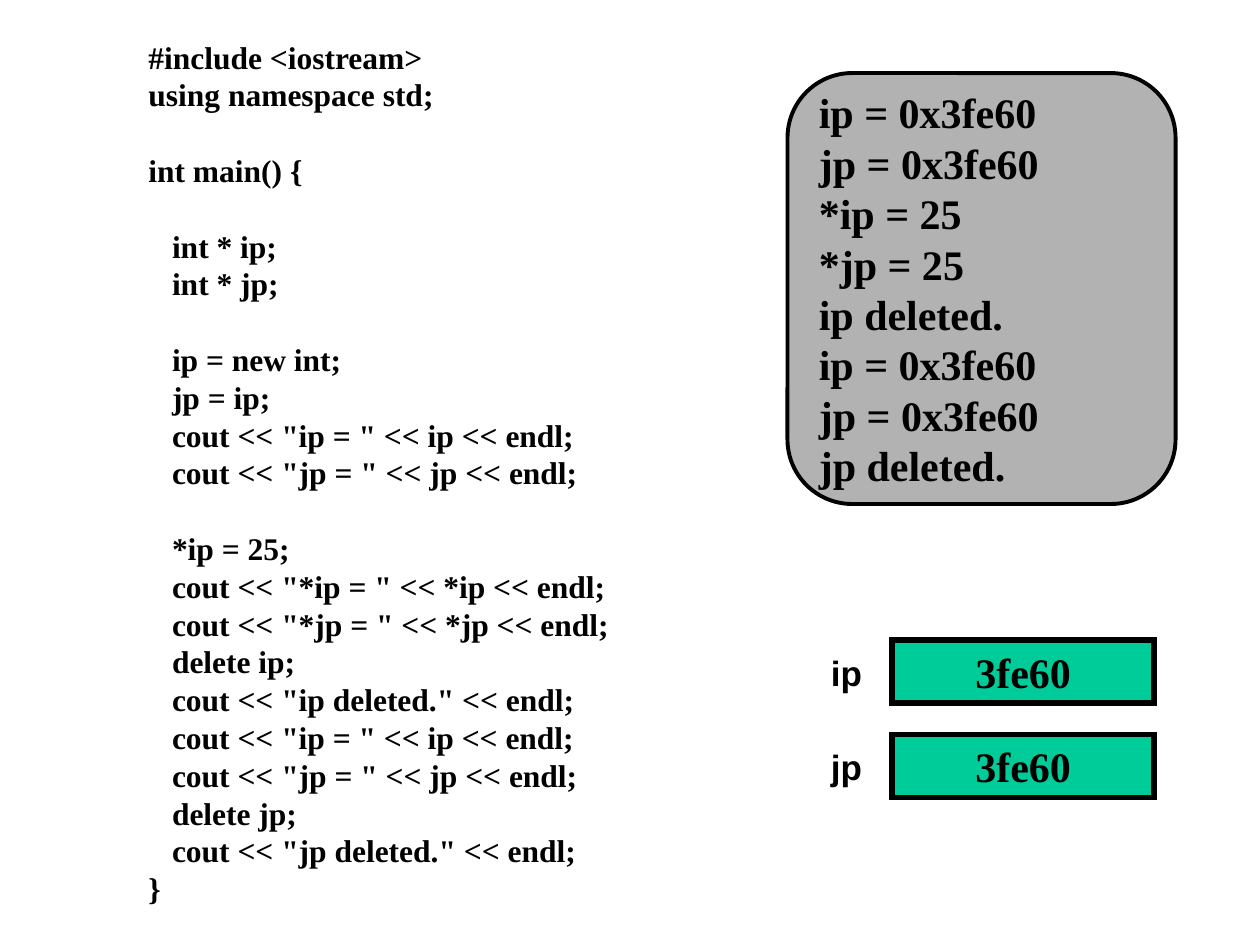
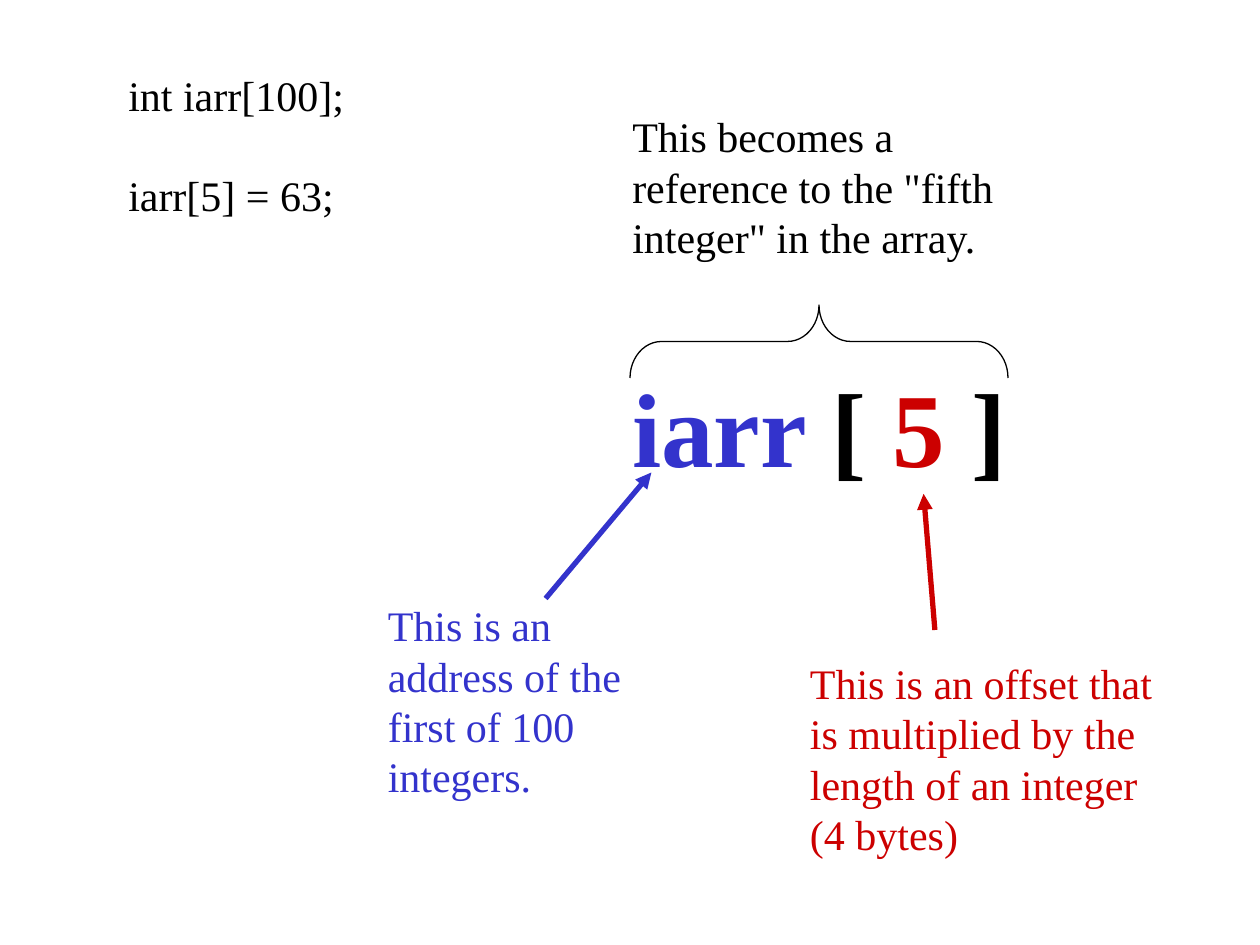
from lxml import etree
from pptx import Presentation
from pptx.dml.color import RGBColor
from pptx.enum.shapes import MSO_CONNECTOR, MSO_SHAPE
from pptx.enum.text import MSO_ANCHOR, MSO_AUTO_SIZE, PP_ALIGN
from pptx.oxml.ns import qn
from pptx.util import Inches, Pt

COLORS = {
    "ink": "000000",
    "panel": "B2B2B2",
    "memory": "00CC99",
    "address": "3333CC",
    "offset": "CC0000",
}
SERIF, SANS = "Times New Roman", "Arial"
LINE_RATIO = 1.2

PROGRAM = """#include <iostream>
using namespace std;

int main() {

   int * ip;
   int * jp;

   ip = new int;
   jp = ip;
   cout << "ip = " << ip << endl;
   cout << "jp = " << jp << endl;

   *ip = 25;
   cout << "*ip = " << *ip << endl;
   cout << "*jp = " << *jp << endl;
   delete ip;
   cout << "ip deleted." << endl;
   cout << "ip = " << ip << endl;
   cout << "jp = " << jp << endl;
   delete jp;
   cout << "jp deleted." << endl;
}"""

OUTPUT = """ip = 0x3fe60
jp = 0x3fe60
*ip = 25
*jp = 25
ip deleted.
ip = 0x3fe60
jp = 0x3fe60
jp deleted."""

ARRAY_CODE = """int iarr[100];

iarr[5] = 63;"""


def rgb(color):
    return RGBColor.from_string(COLORS[color])


def inches(box):
    return [Inches(length) for length in box]


def write(frame, text, size=24, font=SERIF, color="ink", bold=False,
          align=PP_ALIGN.LEFT):
    frame.word_wrap = True
    lines = text.split("\n") if isinstance(text, str) else [text]
    paragraph, gap = None, 0
    for line in lines:
        if not line:
            gap += size * LINE_RATIO
            continue
        paragraph = frame.add_paragraph() if paragraph else frame.paragraphs[0]
        paragraph.alignment = align
        paragraph.line_spacing = Pt(size * LINE_RATIO)
        if gap:
            paragraph.space_before = Pt(gap)
            gap = 0
        pieces = [(line, color)] if isinstance(line, str) else line
        for words, tint in pieces:
            run = paragraph.add_run()
            run.text = words
            run.font.size = Pt(size)
            run.font.name = font
            run.font.bold = bold
            run.font.color.rgb = rgb(tint)


def add_text(slide, box, text, **style):
    frame = slide.shapes.add_textbox(*inches(box)).text_frame
    write(frame, text, **style)
    frame.auto_size = MSO_AUTO_SIZE.SHAPE_TO_FIT_TEXT


def add_panel(slide, preset, box, fill, border, text, **style):
    panel = slide.shapes.add_shape(preset, *inches(box))
    panel.shadow.inherit = False
    panel.fill.solid()
    panel.fill.fore_color.rgb = rgb(fill)
    panel.line.color.rgb = rgb("ink")
    panel.line.width = Pt(border)
    etree.SubElement(panel.line._get_or_add_ln(), qn("a:miter"), lim="800000")
    panel.text_frame.vertical_anchor = MSO_ANCHOR.MIDDLE
    write(panel.text_frame, text, bold=True, **style)


def add_pointer(slide, name, value, top):
    add_panel(slide, MSO_SHAPE.RECTANGLE, (7.08, top, 2.08, 0.5), "memory", 3,
              value, align=PP_ALIGN.CENTER)
    add_text(slide, (6.24, top + 0.04, 0.7, 0.44), name, size=20, font=SANS,
             bold=True, align=PP_ALIGN.RIGHT)


def add_arrow(slide, start, end, color):
    arrow = slide.shapes.add_connector(MSO_CONNECTOR.STRAIGHT, *inches(start + end))
    arrow.line.color.rgb = rgb(color)
    arrow.line.width = Pt(3)
    etree.SubElement(arrow.line._get_or_add_ln(), qn("a:tailEnd"), type="triangle")
    etree.SubElement(arrow._element.spPr, qn("a:effectLst"))


def add_brace(slide, box):
    brace = slide.shapes.add_shape(MSO_SHAPE.LEFT_BRACE, *inches(box))
    brace.shadow.inherit = False
    brace.rotation = 90
    brace.adjustments[0] = 0.43
    brace.fill.background()
    brace.line.color.rgb = rgb("ink")
    brace.line.width = Pt(0.75)


def build_pointer_slide(slide):
    add_panel(slide, MSO_SHAPE.ROUNDED_RECTANGLE, (6.25, 0.58, 3.08, 3.42),
              "panel", 2.25, OUTPUT)
    for row, name in enumerate(("ip", "jp")):
        add_pointer(slide, name, "3fe60", 5.08 + 0.75 * row)
    add_text(slide, (1.08, 0.25, 4.2, 7), PROGRAM, size=18, bold=True)


def build_array_slide(slide):
    add_text(slide, (0.92, 0.5, 2.1, 1.3), ARRAY_CODE)
    expression = [("iarr ", "address"), ("[ ", "ink"), ("5", "offset"), (" ]", "ink")]
    add_text(slide, (4.92, 2.83, 3.4, 1.1), expression, size=60, bold=True)
    add_text(slide, (2.98, 4.71, 2.27, 1.7),
             "This is an address of the first of 100 integers.", color="address")
    add_arrow(slide, (4.33, 4.75), (5.17, 3.75), "address")
    add_text(slide, (6.33, 5.17, 3.02, 1.7),
             "This is an offset that is multiplied by the length of an integer (4 bytes)",
             color="offset")
    add_arrow(slide, (7.42, 5), (7.33, 3.92), "offset")
    add_brace(slide, (6.21, 1.21, 0.58, 3))
    add_text(slide, (4.92, 0.83, 3.1, 1.3),
             'This becomes a reference to the "fifth integer" in the array.')


def main():
    deck = Presentation()
    deck.slide_width, deck.slide_height = Inches(10), Inches(7.5)
    blank = deck.slide_layouts[6]
    for build in (build_pointer_slide, build_array_slide):
        build(deck.slides.add_slide(blank))
    deck.save("out.pptx")


if __name__ == "__main__":
    main()
